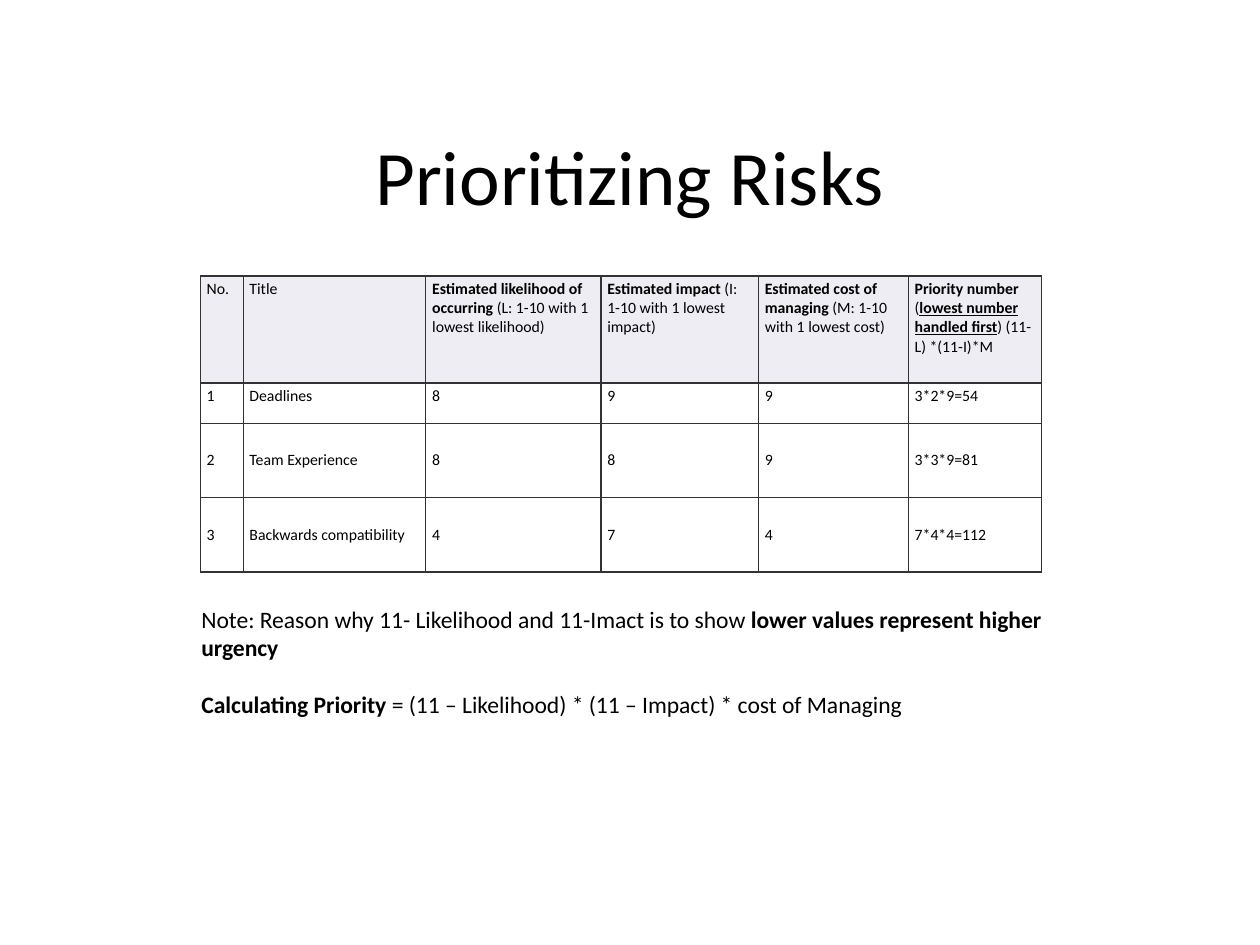
from lxml import etree
from pptx import Presentation
from pptx.dml.color import RGBColor
from pptx.enum.text import MSO_ANCHOR as Anchor, PP_ALIGN as Align
from pptx.oxml.ns import qn
from pptx.util import Inches, Pt

# Content: each text is a list of (words, style) runs
COLORS = {"text": "000000", "header": "EDEDF3", "body": "FFFFFF", "border": "333333"}
FONT = "Calibri"
STYLES = {
    "plain": {},
    "bold": {"bold": True},
    "key": {"bold": True, "underline": True},
}

TITLE = [("Prioritizing Risks", "plain")]
HEADER = [
    [("No.", "plain")],
    [("Title", "plain")],
    [("Estimated likelihood of occurring ", "bold"),
     ("(L: 1-10 with 1 lowest likelihood)", "plain")],
    [("Estimated impact ", "bold"), ("(I: 1-10 with 1 lowest impact)", "plain")],
    [("Estimated cost of managing ", "bold"), ("(M: 1-10 with 1 lowest cost)", "plain")],
    [("Priority number ", "bold"), ("(", "plain"),
     ("lowest number handled first", "key"), (") (11-L) *(11-I)*M", "plain")],
]
RISKS = [
    ("1", "Deadlines", "8", "9", "9", "3*2*9=54"),
    ("2", "Team Experience", "8", "8", "9", "3*3*9=81"),
    ("3", "Backwards compatibility", "4", "7", "4", "7*4*4=112"),
]
NOTES = [
    [("Note: Reason why 11- Likelihood and 11-Imact is to show", "plain"),
     (" lower values represent higher urgency", "bold")],
    [("Calculating Priority ", "bold"),
     ("= (11 – Likelihood) * (11 – Impact) * cost of Managing", "plain")],
]
COLUMN_WIDTHS = [0.34, 1.45, 1.39, 1.25, 1.19, 1.06]
ROW_HEIGHTS = [0.85, 0.32, 0.59, 0.59]
ROW_ANCHORS = [Anchor.TOP, Anchor.TOP, Anchor.MIDDLE, Anchor.MIDDLE]
CELL_MARGINS = {"margin_left": 0.05, "margin_right": 0.05,
                "margin_top": 0.03, "margin_bottom": 0.03}


def write_runs(paragraph, runs, size):
    for words, style in runs:
        run = paragraph.add_run()
        run.text = words
        run.font.color.rgb = RGBColor.from_string(COLORS["text"])
        formats = {"name": FONT, "size": Pt(size), "bold": False, **STYLES[style]}
        for attribute, value in formats.items():
            setattr(run.font, attribute, value)


def add_text(slide, box, paragraphs, size, align, anchor, margin_top=0.05, gap=0):
    frame = slide.shapes.add_textbox(*map(Inches, box)).text_frame
    frame.word_wrap = True
    frame.vertical_anchor = anchor
    frame.margin_top = Inches(margin_top)
    for index, runs in enumerate(paragraphs):
        paragraph = frame.paragraphs[0] if index == 0 else frame.add_paragraph()
        paragraph.alignment = align
        paragraph.space_before = Pt(gap if index else 0)
        write_runs(paragraph, runs, size)


def draw_borders(cell):
    properties = cell._tc.get_or_add_tcPr()
    for index, side in enumerate(("lnL", "lnR", "lnT", "lnB")):
        line = etree.Element(qn(f"a:{side}"), w=str(Pt(0.75)))
        fill = etree.SubElement(line, qn("a:solidFill"))
        etree.SubElement(fill, qn("a:srgbClr"), val=COLORS["border"])
        properties.insert(index, line)


def add_risk_table(slide):
    rows = [HEADER] + [[[(value, "plain")] for value in risk] for risk in RISKS]
    table = slide.shapes.add_table(
        len(rows), len(COLUMN_WIDTHS), Inches(1.59), Inches(2.19),
        Inches(sum(COLUMN_WIDTHS)), Inches(sum(ROW_HEIGHTS))).table
    for column, width in zip(table.columns, COLUMN_WIDTHS):
        column.width = Inches(width)
    for row, height in zip(table.rows, ROW_HEIGHTS):
        row.height = Inches(height)

    for r, row in enumerate(rows):
        for c, runs in enumerate(row):
            cell = table.cell(r, c)
            cell.vertical_anchor = ROW_ANCHORS[r]
            for attribute, margin in CELL_MARGINS.items():
                setattr(cell, attribute, Inches(margin))
            cell.fill.solid()
            cell.fill.fore_color.rgb = RGBColor.from_string(
                COLORS["body" if r else "header"])
            draw_borders(cell)
            write_runs(cell.text_frame.paragraphs[0], runs, 9)


def main():
    deck = Presentation()
    deck.slide_width, deck.slide_height = Inches(10), Inches(7.5)
    slide = deck.slides.add_slide(deck.slide_layouts[6])

    # Title, risk table, then the notes below it
    add_text(slide, (0.5, 0.76, 9, 1.25), [TITLE], 44, Align.CENTER, Anchor.MIDDLE)
    add_risk_table(slide)
    add_text(slide, (1.5, 4.52, 6.88, 1.69), NOTES, 13.5, Align.LEFT, Anchor.TOP,
             margin_top=0.28, gap=16.5)
    deck.save("out.pptx")


if __name__ == "__main__":
    main()
